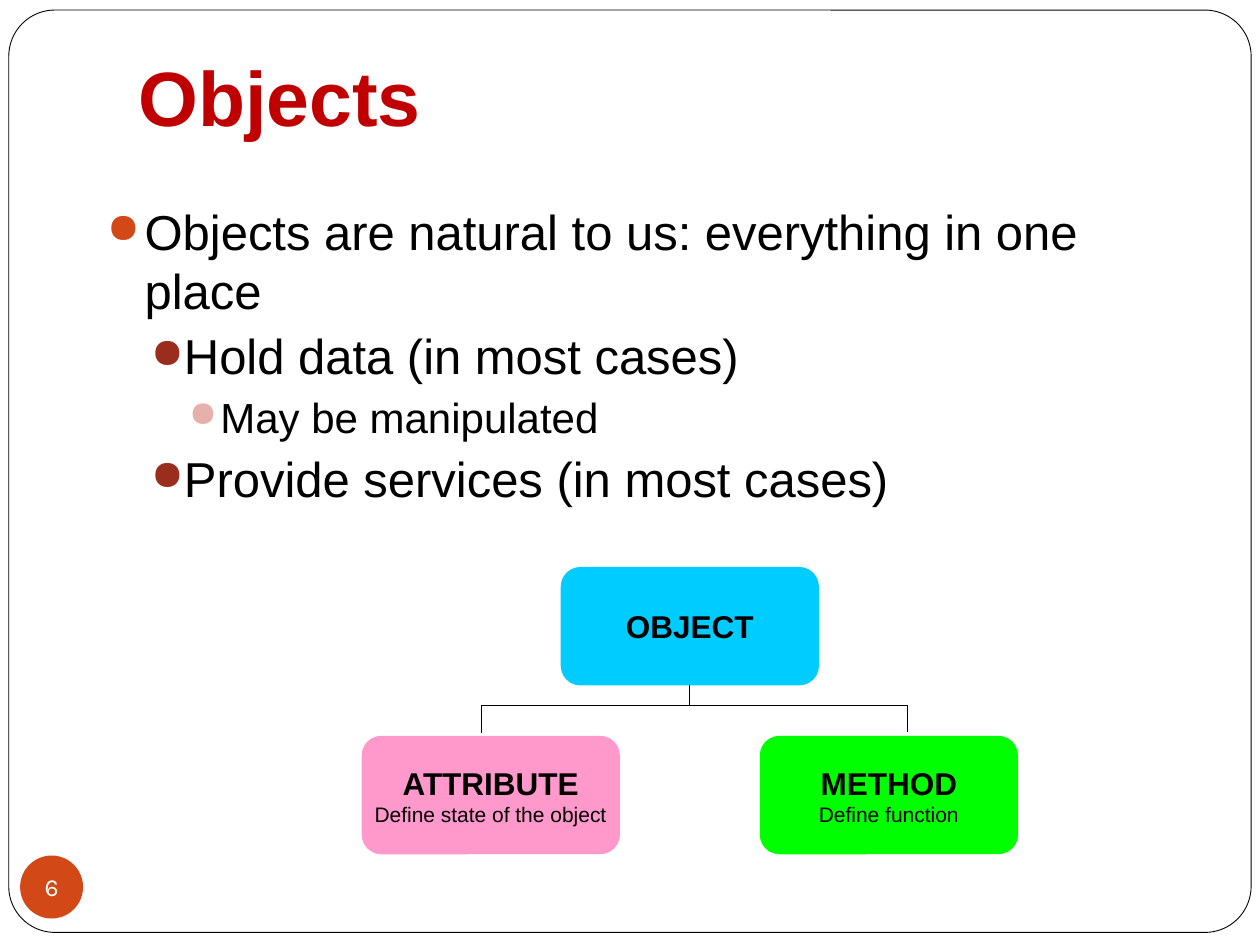
from lxml.etree import SubElement
from pptx import Presentation
from pptx.dml.color import RGBColor
from pptx.enum.shapes import MSO_CONNECTOR, MSO_SHAPE
from pptx.enum.text import MSO_ANCHOR, MSO_AUTO_SIZE, PP_ALIGN
from pptx.oxml.ns import qn
from pptx.util import Inches, Pt

COLORS = {
    "black": "000000", "white": "FFFFFF", "title": "C00000", "page": "D34817",
    "object": "00CCFF", "attribute": "FF99CC", "method": "00FF00",
}
LEVELS = [
    {"indent": 0.3, "hanging": 0.3, "bullet": "D34817"},
    {"indent": 0.6, "hanging": 0.25, "bullet": "9B2D1F"},
    {"indent": 0.9, "hanging": 0.25, "bullet": "E6B1AB"},
]

deck = Presentation()
deck.slide_width, deck.slide_height = Inches(10), Inches(7.5)
column, row = deck.slide_width / 100, deck.slide_height / 75
slide = deck.slides.add_slide(deck.slide_layouts[5])


def write(paragraph, text, size=18, color="black", bold=False, font="Arial", align=PP_ALIGN.LEFT):
    paragraph.alignment = align
    run = paragraph.add_run()
    run.text = text
    run.font.name, run.font.size, run.font.bold = font, Pt(size), bold
    run.font.color.rgb = RGBColor.from_string(COLORS[color])


def add_block(kind, left, top, width, height, fill):
    block = slide.shapes.add_shape(
        kind, round(left * column), round(top * row), round(width * column), round(height * row))
    block.shadow.inherit = False
    block.fill.solid()
    block.fill.fore_color.rgb = RGBColor.from_string(COLORS[fill])
    block.line.fill.background()
    block.text_frame.word_wrap = False
    block.text_frame.vertical_anchor = MSO_ANCHOR.MIDDLE
    return block


border = add_block(MSO_SHAPE.ROUNDED_RECTANGLE, 0.7, 0.8, 98.6, 73.2, "white")
border.adjustments[0] = 0.05
border.line.color.rgb = RGBColor.from_string(COLORS["black"])
border.line.width = Pt(0.5)

title = slide.shapes.title
title.left, title.top = round(10 * column), round(3 * row)
title.width, title.height = round(85 * column), round(9.3 * row)
heading = title.text_frame
heading.auto_size = MSO_AUTO_SIZE.NONE
heading.vertical_anchor = MSO_ANCHOR.BOTTOM
heading.margin_bottom = Inches(0.1)
write(heading.paragraphs[0], "Objects", size=44, color="title", bold=True)
slide.shapes._spTree.append(title._element)

points = slide.shapes.add_textbox(
    round(7.5 * column), round(15.5 * row), round(79.4 * column), round(23.6 * row)).text_frame
points.word_wrap = True
for number, (level, size, text) in enumerate([
    (0, 28, "Objects are natural to us: everything in one place"),
    (1, 28, "Hold data (in most cases)"),
    (2, 24, "May be manipulated"),
    (1, 28, "Provide services (in most cases)"),
]):
    point = points.paragraphs[0] if number == 0 else points.add_paragraph()
    style = LEVELS[level]
    point.level = level
    point.space_before = Pt(3.8 if number else 0)
    properties = point._p.get_or_add_pPr()
    properties.set("marL", str(Inches(style["indent"])))
    properties.set("indent", str(-Inches(style["hanging"])))
    bullet_color = SubElement(properties, qn("a:buClr"))
    SubElement(bullet_color, qn("a:srgbClr"), val=style["bullet"])
    SubElement(properties, qn("a:buSzPct"), val="85000")
    SubElement(properties, qn("a:buChar"), char="●")
    write(point, text, size=size)

for left, top, fill, name, role in [
    (44.5, 45, "object", "OBJECT", ""),
    (28.7, 58.4, "attribute", "ATTRIBUTE", "Define state of the object"),
    (60.3, 58.4, "method", "METHOD", "Define function"),
]:
    member = add_block(MSO_SHAPE.ROUNDED_RECTANGLE, left, top, 20.5, 9.4, fill).text_frame
    write(member.paragraphs[0], name, bold=True, align=PP_ALIGN.CENTER)
    if role:
        write(member.add_paragraph(), role, size=12, align=PP_ALIGN.CENTER)

fork = slide.shapes.build_freeform(round(38.2 * column), round(58.2 * row))
fork.add_line_segments(
    [(round(x * column), round(y * row)) for x, y in [(38.2, 56), (72, 56), (72, 58.1)]], close=False)
branches = fork.convert_to_shape()
branches.shadow.inherit = False
branches.fill.background()
trunk = slide.shapes.add_connector(
    MSO_CONNECTOR.STRAIGHT, round(54.7 * column), round(56 * row), round(54.7 * column), round(54.4 * row))
SubElement(trunk._element.spPr, qn("a:effectLst"))
for link in (branches, trunk):
    link.line.color.rgb = RGBColor.from_string(COLORS["black"])
    link.line.width = Pt(0.75)

page = add_block(MSO_SHAPE.OVAL, 1.6, 67.9, 5, 5, "page").text_frame
page.margin_left = page.margin_right = page.margin_top = page.margin_bottom = 0
write(page.paragraphs[0], "6", size=14, color="white", font="Karla", align=PP_ALIGN.CENTER)

deck.save("out.pptx")
